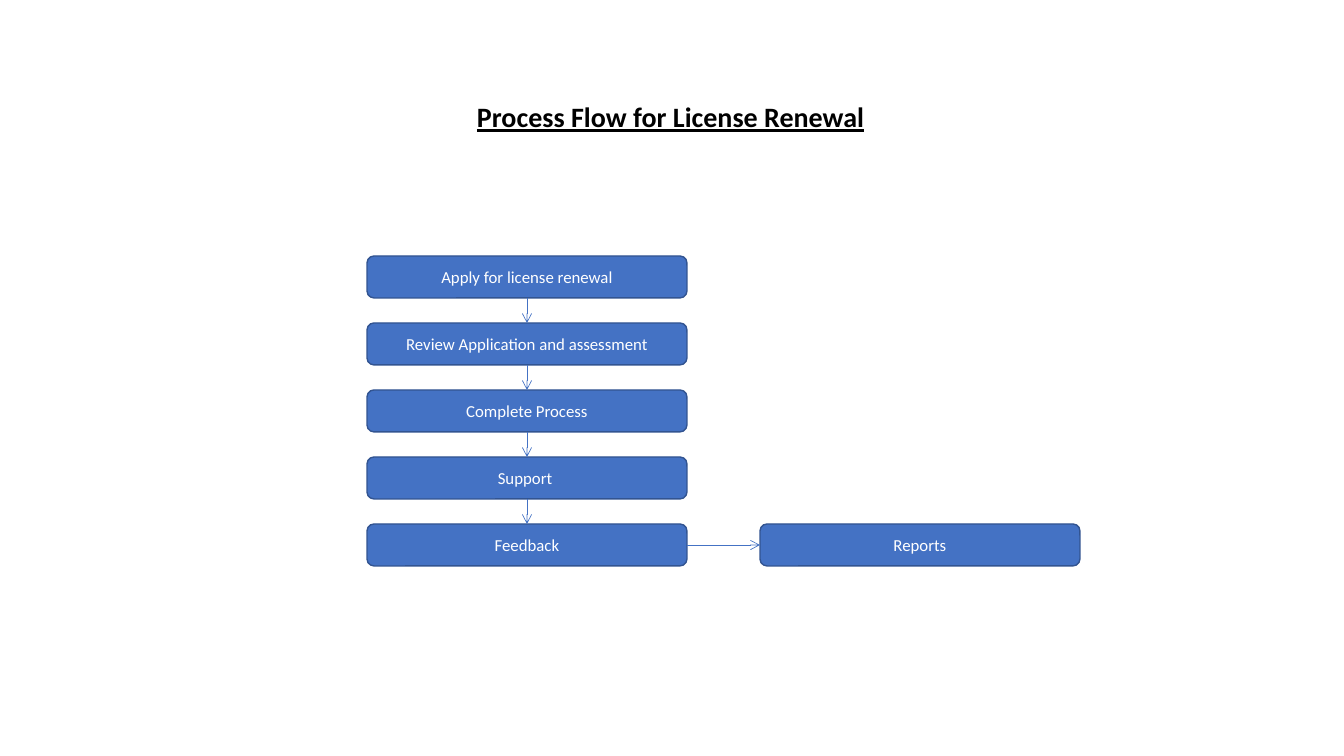
from lxml import etree
from pptx import Presentation
from pptx.dml.color import RGBColor
from pptx.enum.shapes import MSO_CONNECTOR, MSO_SHAPE
from pptx.enum.text import MSO_ANCHOR, MSO_AUTO_SIZE, PP_ALIGN
from pptx.oxml.ns import qn
from pptx.util import Pt

PX = 914400 / 100.8
ROUNDED = MSO_SHAPE.ROUNDED_RECTANGLE
STRAIGHT = MSO_CONNECTOR.STRAIGHT
CENTER = PP_ALIGN.CENTER
MIDDLE = MSO_ANCHOR.MIDDLE
FIT_SHAPE = MSO_AUTO_SIZE.SHAPE_TO_FIT_TEXT
TOP, LEFT, BOTTOM, RIGHT = range(4)
COLORS = {"box": "4472C4", "border": "325491", "label": "FFFFFF", "title": "000000"}


def px(n):
    return round(n * PX)


def add_run(p, text, size, color):
    r = p.add_run()
    r.text = text
    r.font.name = "Calibri"
    r.font.size = Pt(size)
    r.font.color.rgb = RGBColor.from_string(COLORS[color])
    return r


prs = Presentation()
prs.slide_width = px(1344)
prs.slide_height = px(756)
s = prs.slides.add_slide(prs.slide_layouts[6])

title = s.shapes.add_textbox(px(467), px(95), px(411), px(44))
tf = title.text_frame
tf.word_wrap = False
tf.auto_size = FIT_SHAPE
r = add_run(tf.paragraphs[0], "Process Flow for License Renewal", 20, "title")
r.font.bold = True
r.font.underline = True

steps = ["Apply for license renewal", "Review Application and assessment",
         "Complete Process", "Support ", "Feedback"]
column_left, first_top, pitch = 367, 256, 67
nodes = [(label, column_left, first_top + i * pitch) for i, label in enumerate(steps)]
nodes.append(("Reports", 760, first_top + 4 * pitch))

boxes = []
for label, left, top in nodes:
    sp = s.shapes.add_shape(ROUNDED, px(left), px(top), px(320), px(42))
    sp.shadow.inherit = False
    sp.fill.solid()
    sp.fill.fore_color.rgb = RGBColor.from_string(COLORS["box"])
    sp.line.color.rgb = RGBColor.from_string(COLORS["border"])
    sp.line.width = Pt(1)
    tf = sp.text_frame
    tf.word_wrap = True
    tf.vertical_anchor = MIDDLE
    p = tf.paragraphs[0]
    p.alignment = CENTER
    add_run(p, label, 12, "label")
    boxes.append(sp)

for i, (start, end) in enumerate(zip(boxes, boxes[1:])):
    sites = (BOTTOM, TOP) if i < len(steps) - 1 else (RIGHT, LEFT)
    arrow = s.shapes.add_connector(STRAIGHT, 0, 0, 0, 0)
    arrow.begin_connect(start, sites[0])
    arrow.end_connect(end, sites[1])
    arrow.line.color.rgb = RGBColor.from_string(COLORS["box"])
    arrow.line.width = Pt(0.5)
    etree.SubElement(arrow.line._get_or_add_ln(), qn("a:tailEnd"), type="arrow")
    etree.SubElement(arrow._element.spPr, qn("a:effectLst"))

prs.save("out.pptx")
